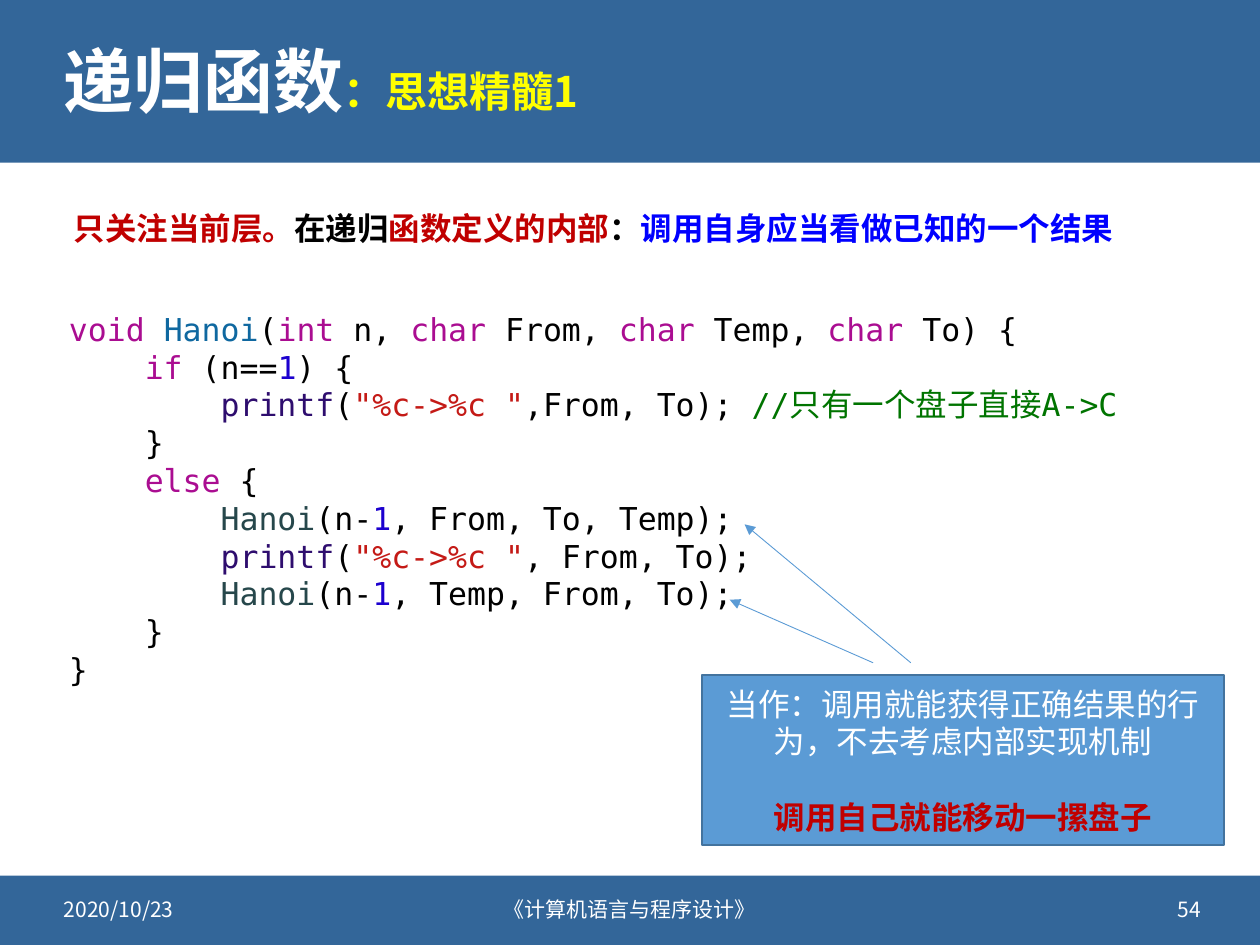
from lxml.etree import SubElement
from pptx import Presentation
from pptx.dml.color import RGBColor
from pptx.enum.shapes import MSO_CONNECTOR, MSO_SHAPE
from pptx.enum.text import MSO_ANCHOR, MSO_AUTO_SIZE, PP_ALIGN
from pptx.oxml.ns import qn
from pptx.util import Cm, Pt

SANS, MONO = "Noto Sans CJK SC", "DejaVu Sans Mono"
NAVY, SKY, SKY_EDGE = "336699", "5B9BD5", "43739E"
WHITE, BLACK, YELLOW, RED, BLUE = "FFFFFF", "000000", "FFFF00", "C00000", "0000FF"
# Syntax colours of the code
KEYWORD, DECLARED, CALLED = "AA0D91", "0F68A0", "26474B"
LIBRARY, STRING, NUMBER, COMMENT = "2E0D6E", "C41A16", "1C00CF", "007400"


def rgb(code):
    return RGBColor.from_string(code)


def add_run(paragraph, text, size=18, color=BLACK, bold=False, font=SANS):
    run = paragraph.add_run()
    run.text = text
    run.font.size = Pt(size)
    run.font.bold = bold
    run.font.color.rgb = rgb(color)
    run.font.name = font
    SubElement(run.font._element, qn("a:ea"), typeface=SANS)


class SlideBuilder:
    def __init__(self, slide, font=SANS, size=18):
        self.slide = slide
        self.font = font
        self.size = size

    def fill_frame(self, frame, lines, align=PP_ALIGN.LEFT, spacing=None, gap=0,
                   **style):
        """Each line is a list of (text, colour) or (text, colour, overrides)."""
        base = {"size": self.size, "font": self.font, **style}
        for index, line in enumerate(lines):
            paragraph = frame.add_paragraph() if index else frame.paragraphs[0]
            paragraph.alignment = align
            if spacing:
                paragraph.line_spacing = spacing
            if index and gap:
                paragraph.space_before = Pt(gap)
            for text, color, *extra in line:
                overrides = extra[0] if extra else {}
                add_run(paragraph, text, color=color, **{**base, **overrides})

    def text(self, x, y, w, h, lines, anchor=MSO_ANCHOR.MIDDLE, wrap=True,
             grow=False, **style):
        frame = self.slide.shapes.add_textbox(Cm(x), Cm(y), Cm(w), Cm(h)).text_frame
        frame.word_wrap = wrap
        frame.vertical_anchor = anchor
        if grow:
            frame.auto_size = MSO_AUTO_SIZE.SHAPE_TO_FIT_TEXT
        self.fill_frame(frame, lines, **style)

    def box(self, x, y, w, h, fill, edge=None, lines=(), **style):
        shape = self.slide.shapes.add_shape(
            MSO_SHAPE.RECTANGLE, Cm(x), Cm(y), Cm(w), Cm(h))
        shape.shadow.inherit = False
        shape.fill.solid()
        shape.fill.fore_color.rgb = rgb(fill)
        if edge:
            shape.line.color.rgb = rgb(edge)
            shape.line.width = Pt(1)
        else:
            shape.line.fill.background()
        shape.text_frame.vertical_anchor = MSO_ANCHOR.MIDDLE
        self.fill_frame(shape.text_frame, lines, **style)

    def arrow(self, x1, y1, x2, y2, color):
        arrow = self.slide.shapes.add_connector(
            MSO_CONNECTOR.STRAIGHT, Cm(x1), Cm(y1), Cm(x2), Cm(y2))
        arrow.line.color.rgb = rgb(color)
        arrow.line.width = Pt(0.5)
        properties = arrow.element.spPr
        SubElement(properties.find(qn("a:ln")), qn("a:tailEnd"), type="triangle")
        SubElement(properties, qn("a:effectLst"))


def recursive_call(arguments):
    return [("        ", BLACK), ("Hanoi", CALLED), ("(n-", BLACK),
            ("1", NUMBER), (arguments, BLACK)]


def print_move(ending):
    return [("        ", BLACK), ("printf", LIBRARY), ("(", BLACK),
            ('"%c->%c "', STRING), (ending, BLACK)]


HANOI_CODE = [
    [("void ", KEYWORD), ("Hanoi", DECLARED), ("(", BLACK), ("int", KEYWORD),
     (" n, ", BLACK), ("char", KEYWORD), (" From, ", BLACK), ("char", KEYWORD),
     (" Temp, ", BLACK), ("char", KEYWORD), (" To) {", BLACK)],
    [("    ", BLACK), ("if", KEYWORD), (" (n==", BLACK), ("1", NUMBER), (") {", BLACK)],
    print_move(",From, To); ") + [("//只有一个盘子直接A->C", COMMENT)],
    [("    }", BLACK)],
    [("    ", BLACK), ("else", KEYWORD), (" {", BLACK)],
    recursive_call(", From, To, Temp);"),
    print_move(", From, To);"),
    recursive_call(", Temp, From, To);"),
    [("    }", BLACK)],
    [("}", BLACK)],
]


def main():
    deck = Presentation()
    deck.slide_width, deck.slide_height = Cm(25.4), Cm(19.05)
    page = SlideBuilder(deck.slides.add_slide(deck.slide_layouts[6]))

    # Header and footer bands
    page.box(0, 0, 25.4, 3.28, NAVY)
    page.box(0, 17.65, 25.4, 1.4, NAVY)

    # Title
    page.text(1.04, 0.46, 23.34, 2.51,
              [[("递归函数", WHITE, {"size": 40}), ("：思想精髓1", YELLOW)]],
              size=24, bold=True, spacing=0.9)

    # Footer
    for x, width, label, align in [
        (1.04, 6.1, "2020/10/23", PP_ALIGN.LEFT),
        (8.13, 9.14, "《计算机语言与程序设计》", PP_ALIGN.CENTER),
        (18.36, 6.1, "54", PP_ALIGN.RIGHT),
    ]:
        page.text(x, 17.81, width, 1.02, [[(label, WHITE)]], size=12, align=align)

    # Key idea
    page.text(1.24, 3.71, 21.67, 1.27,
              [[("只关注当前层。", RED), ("在递归", BLACK), ("函数定义的内部", RED),
                ("：", BLACK), ("调用自身应当看做已知的一个结果", BLUE)]],
              anchor=MSO_ANCHOR.TOP, wrap=False, grow=True, bold=True, spacing=1.5)

    # Code
    page.text(1.14, 6.12, 22.89, 7.95, HANOI_CODE,
              anchor=MSO_ANCHOR.TOP, grow=True, font=MONO)

    # Callout pointing at both recursive calls
    page.box(14.15, 13.61, 10.52, 3.43, SKY, SKY_EDGE,
             [[("当作：调用就能获得正确结果的行为，不去考虑内部实现机制", WHITE)],
              [("调用自己就能移动一摞盘子", RED, {"bold": True})]],
             align=PP_ALIGN.CENTER, gap=21.6)
    page.arrow(18.36, 13.36, 15.01, 10.57, SKY)
    page.arrow(17.6, 13.36, 14.71, 12.09, SKY)

    deck.save("out.pptx")


if __name__ == "__main__":
    main()
